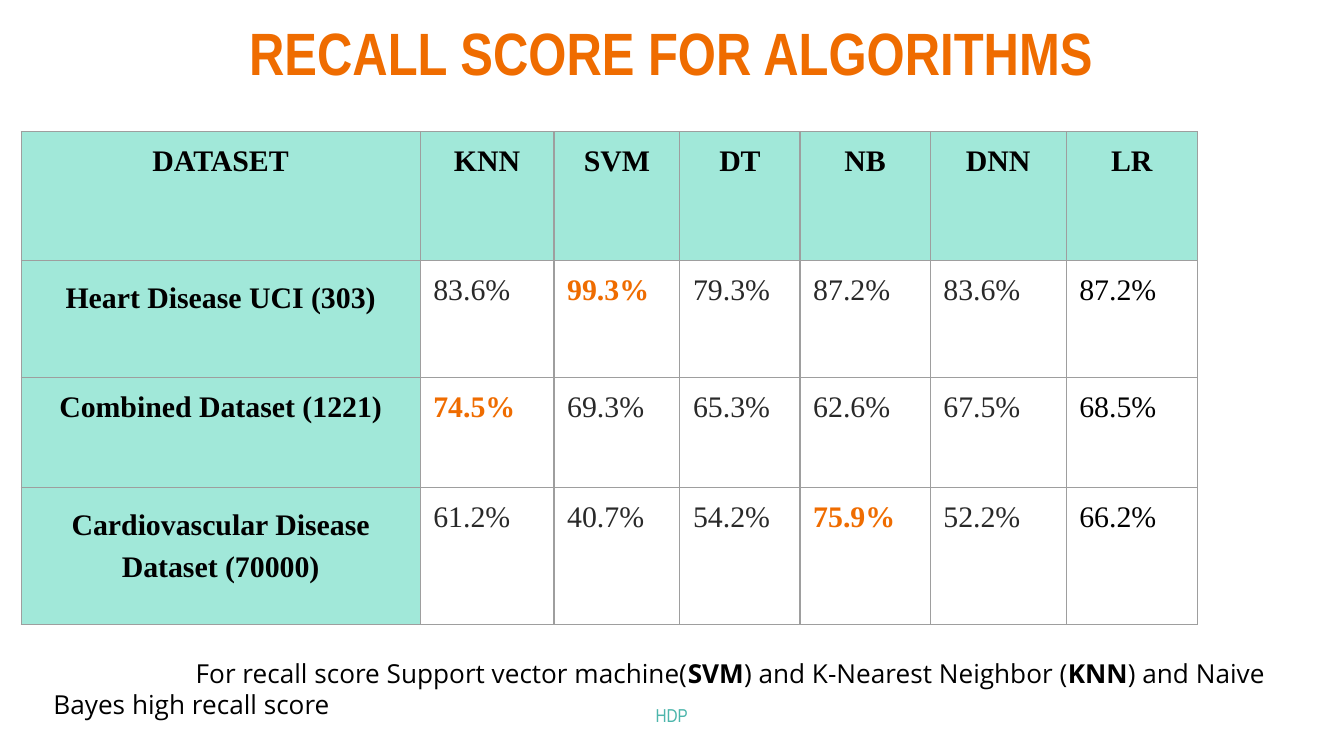
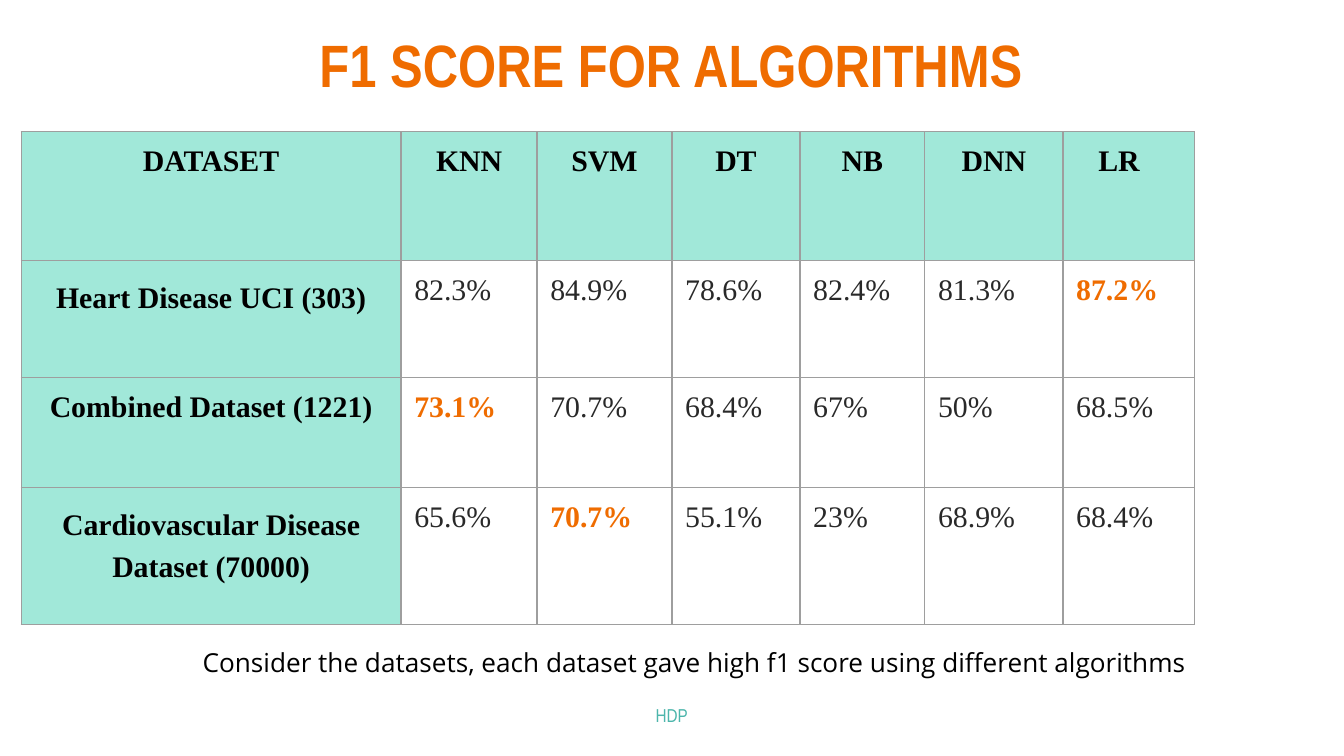
from pptx import Presentation
from pptx.dml.color import RGBColor
from pptx.enum.text import MSO_ANCHOR as Anchor, MSO_AUTO_SIZE as Fit, PP_ALIGN as Align
from pptx.oxml.ns import qn
from pptx.util import Cm, Pt
from lxml.etree import SubElement as Sub

ORANGE, TEAL, MINT = "EF6C00", "4DB6AC", "A1E8D9"
BLACK, DARK, GREY, WHITE = "000000", "292929", "9E9E9E", "FFFFFF"
HEAD, SERIF, SANS = "Arial Narrow", "Times New Roman", "Open Sans"
INSET = Cm(0.25)
NAMES = ["DATASET", "KNN", "SVM", "DT", "NB", "DNN", "LR"]
SETS = ["Heart Disease UCI (303)", "Combined Dataset (1221)",
        "Cardiovascular Disease Dataset (70000)"]
ROWS = [2.44, 2.2, 2.09, 2.59]


def color(code):
    return RGBColor.from_string(code)


def style(run, face, size, code, bold=False):
    font = run.font
    font.name, font.size, font.bold = face, Pt(size), bold
    font.color.rgb = color(code)


def indent(para, width):
    props = para._p.get_or_add_pPr()
    props.set("marL", "0")
    props.set("indent", str(Cm(width)))


def place(shape, left, top, width, height):
    shape.left, shape.top = Cm(left), Cm(top)
    shape.width, shape.height = Cm(width), Cm(height)


def frame_up(frame):
    frame.word_wrap = True
    frame.auto_size = Fit.NONE
    frame.vertical_anchor = Anchor.TOP
    frame.margin_left = frame.margin_right = INSET
    frame.margin_top = frame.margin_bottom = INSET


def add_title(slide, text, top):
    title = slide.shapes.title
    place(title, 0.84, top, 23.7, 1.88)
    frame_up(title.text_frame)
    title.text_frame.text = text
    para = title.text_frame.paragraphs[0]
    para.alignment = Align.CENTER
    style(para.runs[0], HEAD, 32, ORANGE, True)


def add_text(slide, box):
    shape = slide.shapes.add_textbox(*map(Cm, box))
    frame_up(shape.text_frame)
    return shape.text_frame.paragraphs[0]


def add_foot(slide):
    para = add_text(slide, (8.53, 13.06, 8.33, 0.94))
    para.text = "HDP"
    para.alignment = Align.CENTER
    style(para.runs[0], HEAD, 10, TEAL)


def add_note(slide, text, box):
    para = add_text(slide, box)
    indent(para, 2.69)
    for i, part in enumerate(text.split("*")):
        run = para.add_run()
        run.text = part
        style(run, SANS, 14, BLACK, i % 2 == 1)


def border(cell):
    props = cell._tc.get_or_add_tcPr()
    for side in ("lnL", "lnR", "lnT", "lnB"):
        line = Sub(props, qn("a:" + side), w=str(Pt(0.75)))
        fill = Sub(line, qn("a:solidFill"))
        Sub(fill, qn("a:srgbClr"), val=GREY)


def fill_cell(cell, text, fill, code, bold):
    border(cell)
    cell.fill.solid()
    cell.fill.fore_color.rgb = color(fill)
    cell.margin_left = cell.margin_right = INSET
    cell.margin_top = cell.margin_bottom = INSET
    cell.text = text
    para = cell.text_frame.paragraphs[0]
    style(para.runs[0], SERIF, 16, code, bold)
    return para


def add_grid(slide, scores, cols, last):
    shape = slide.shapes.add_table(len(ROWS), len(cols), Cm(0.4), Cm(2.49),
                                   Cm(sum(cols)), Cm(sum(ROWS)))
    table = shape.table
    table.first_row = table.horz_banding = False
    for col, width in zip(table.columns, cols):
        col.width = Cm(width)
    for row, height in zip(table.rows, ROWS):
        row.height = Cm(height)
    for c, name in enumerate(NAMES):
        para = fill_cell(table.cell(0, c), name, MINT, BLACK, True)
        para.alignment = Align.CENTER
    for r, (name, vals) in enumerate(zip(SETS, scores), 1):
        para = fill_cell(table.cell(r, 0), name, MINT, BLACK, True)
        para.alignment = Align.CENTER
        if r != 2:
            para.line_spacing = 1.25
            para.space_after = Pt(6)
        for c, val in enumerate(vals, 1):
            best = val == max(vals)
            plain = last if c == len(vals) else DARK
            fill_cell(table.cell(r, c), f"{val:g}%", WHITE,
                      ORANGE if best else plain, best)
    return table


def add_slide(deck, title, top):
    slide = deck.slides.add_slide(deck.slide_layouts[5])
    add_title(slide, title, top)
    add_foot(slide)
    return slide


def main():
    deck = Presentation()
    deck.slide_width, deck.slide_height = Cm(25.4), Cm(14.29)

    recall = add_slide(deck, "RECALL SCORE FOR ALGORITHMS", 0.05)
    add_grid(recall, [[83.6, 99.3, 79.3, 87.2, 83.6, 87.2],
                      [74.5, 69.3, 65.3, 62.6, 67.5, 68.5],
                      [61.2, 40.7, 54.2, 75.9, 52.2, 66.2]],
             [7.54, 2.53, 2.38, 2.27, 2.46, 2.57, 2.48], BLACK)
    add_note(recall, "For recall score Support vector machine(*SVM*) and "
             "K-Nearest Neighbor (*KNN*) and Naive Bayes high recall score",
             (0.76, 12.17, 24, 1.7))

    f1 = add_slide(deck, "F1 SCORE FOR ALGORITHMS", 0.28)
    grid = add_grid(f1, [[82.3, 84.9, 78.6, 82.4, 81.3, 87.2],
                         [73.1, 70.7, 68.4, 67, 50, 68.5],
                         [65.6, 70.7, 55.1, 23, 68.9, 68.4]],
                    [7.18, 2.57, 2.55, 2.42, 2.36, 2.61, 2.48], DARK)
    para = grid.cell(0, 6).text_frame.paragraphs[0]
    para.alignment = Align.LEFT
    indent(para, 0.42)
    add_note(f1, "Consider the datasets, each dataset gave high f1 score "
             "using different algorithms", (0.89, 11.96, 22.96, 1.12))

    deck.save("out.pptx")


if __name__ == "__main__":
    main()
